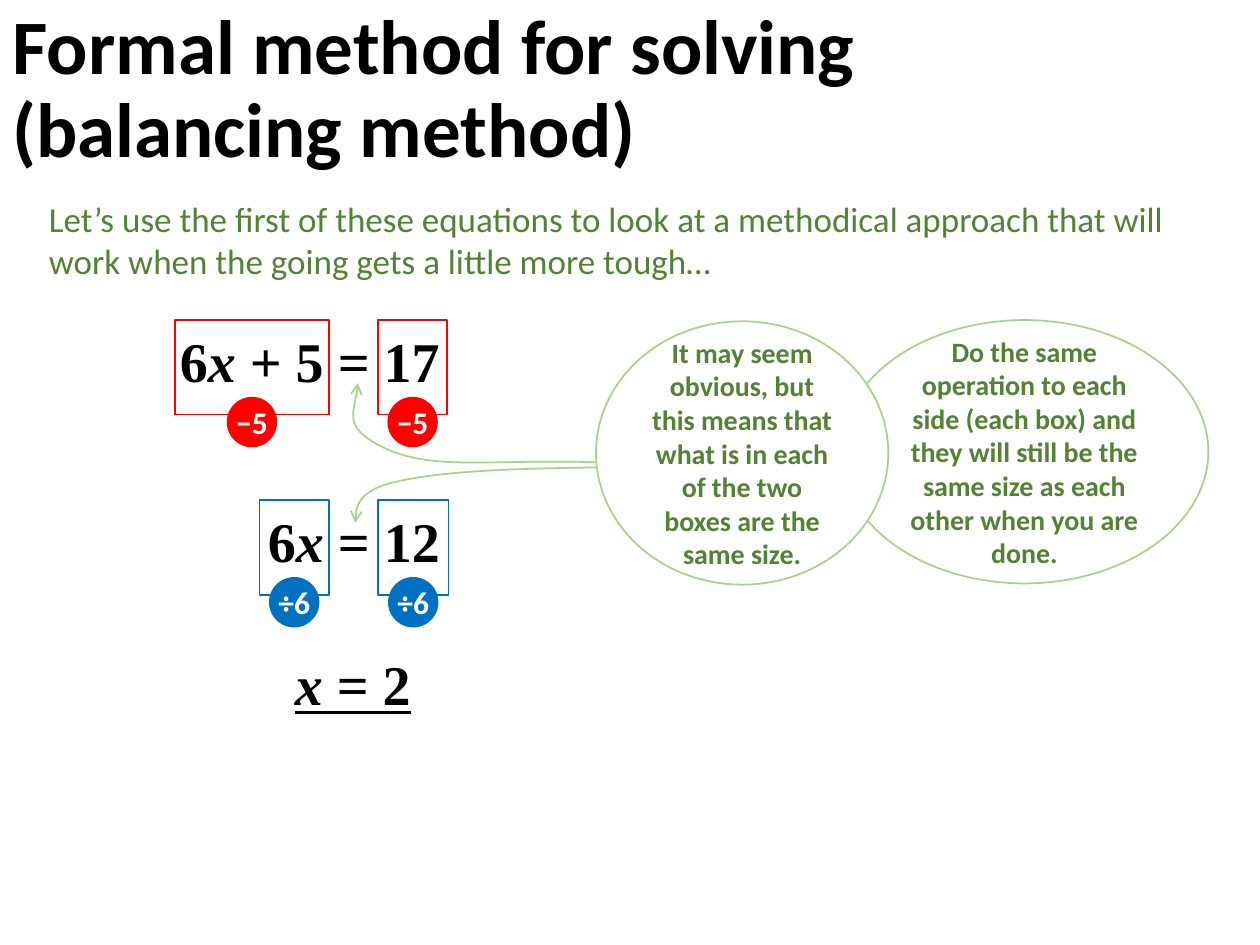
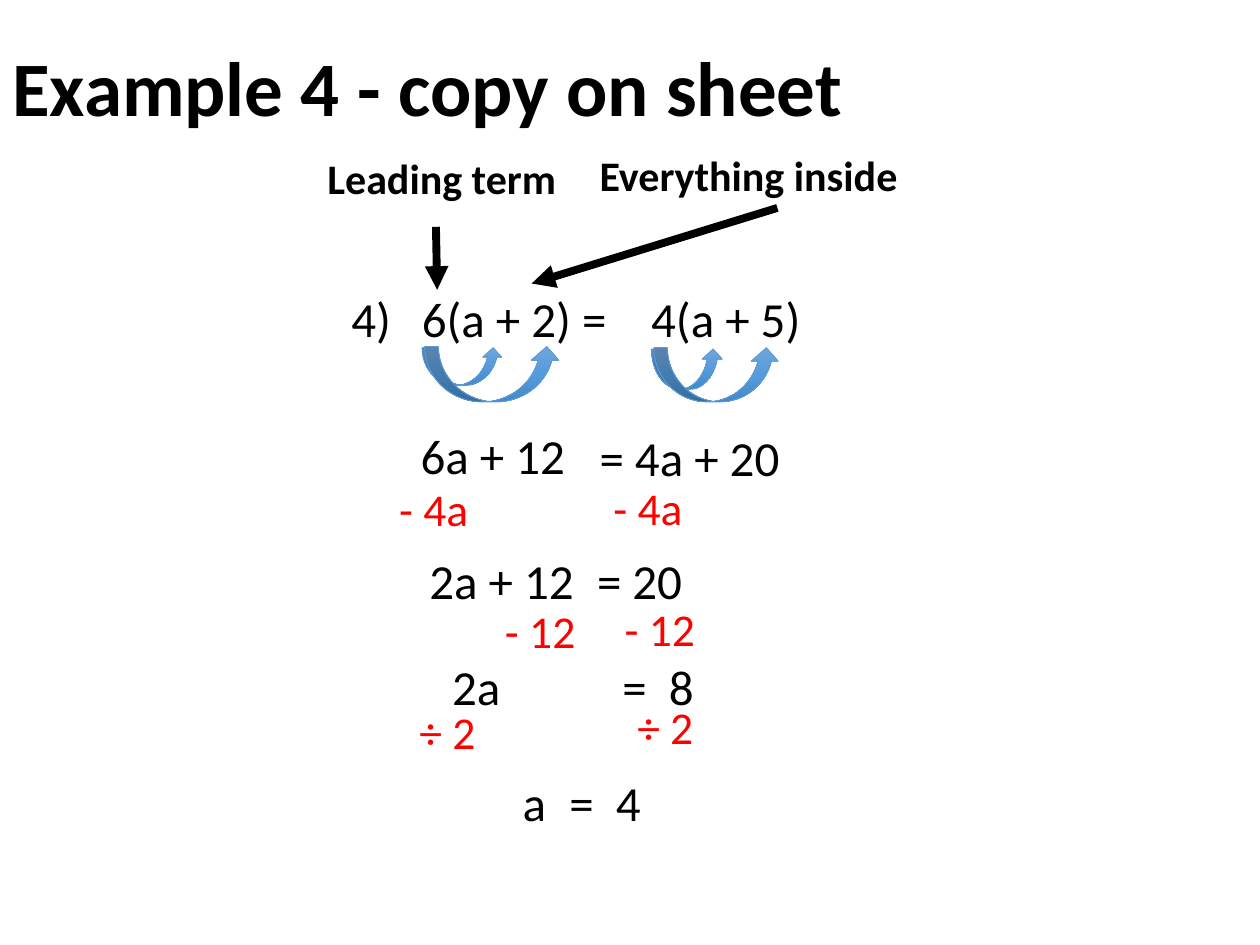
from copy import deepcopy

from pptx import Presentation, util as u
from pptx.dml.color import RGBColor
from pptx.enum import shapes, text
from pptx.oxml.ns import qn
from pptx.oxml.xmlchemy import OxmlElement

# Shared style
BLACK = RGBColor(0x00, 0x00, 0x00)
WHITE = RGBColor(0xFF, 0xFF, 0xFF)
RED = RGBColor(0xFF, 0x00, 0x00)
BLUE = RGBColor(0x00, 0x70, 0xC0)
GREEN = RGBColor(0x54, 0x82, 0x35)
PALE_GREEN = RGBColor(0xA9, 0xD1, 0x8E)
ARC_LINE = RGBColor(0x5B, 0x9B, 0xD5)
ARC_STOPS = [RGBColor(0x71, 0xA6, 0xDB), RGBColor(0x55, 0x9B, 0xDB), RGBColor(0x44, 0x8A, 0xCA)]
SANS, SERIF = "Calibri", "Times New Roman"
LEFT, CENTRE = text.PP_ALIGN.LEFT, text.PP_ALIGN.CENTER
TOP, MIDDLE = text.MSO_ANCHOR.TOP, text.MSO_ANCHOR.MIDDLE
OVAL, BOX = shapes.MSO_SHAPE.OVAL, shapes.MSO_SHAPE.RECTANGLE
ARC = shapes.MSO_SHAPE.CURVED_UP_ARROW

COLS, ROWS = 100, 75          # slide grid
CELL = u.Inches(0.1)


def cells(*values):
    return [round(v * CELL) for v in values]


def add_xml(parent, tag, **attrs):
    el = OxmlElement(tag)
    for name, value in attrs.items():
        el.set(name, str(value))
    parent.append(el)
    return el


def write(tf, words, size=28, color=BLACK, font=SANS, bold=False, underline=False,
          align=LEFT, anchor=TOP, spacing=None, inset=None, tabs=(), number=None):
    """Fill a text frame; *stars* mark italics, tabs are in cells."""
    tf.word_wrap, tf.vertical_anchor = True, anchor
    if inset is not None:
        tf.margin_left = tf.margin_right = tf.margin_top = tf.margin_bottom = inset
    p = tf.paragraphs[0]
    p.alignment = align
    if spacing:
        p.line_spacing = spacing
    pPr = p._p.get_or_add_pPr()
    if number:
        hang, = cells(5.6)
        pPr.set("marL", str(hang))
        pPr.set("indent", str(-hang))
        add_xml(pPr, "a:buAutoNum", type="arabicParenR", startAt=number)
    if tabs:
        stops = add_xml(pPr, "a:tabLst")
        for pos in cells(*tabs):
            add_xml(stops, "a:tab", pos=pos, algn="l")
    for i, part in enumerate(words.split("*")):
        if part:
            r = p.add_run()
            r.text = part
            f = r.font
            f.size, f.name, f.bold, f.italic = u.Pt(size), font, bold, i % 2 == 1
            f.underline = underline
            f.color.rgb = color


class Deck:
    def __init__(self):
        self.prs = Presentation()
        self.prs.slide_width, self.prs.slide_height = cells(COLS, ROWS)
        self.s = None

    def slide(self, title):
        self.s = self.prs.slides.add_slide(self.prs.slide_layouts[6])
        self.text((0, 0, 86.2, 14.5), title, size=44, bold=True, anchor=MIDDLE, spacing=0.9)

    def text(self, at, words, **fmt):
        write(self.s.shapes.add_textbox(*cells(*at)).text_frame, words, **fmt)

    def style(self, sp, fill=None, line=None, width=1.0):
        sp.shadow.inherit = False
        if fill is None:
            sp.fill.background()
        else:
            sp.fill.solid()
            sp.fill.fore_color.rgb = fill
        if line is None:
            sp.line.fill.background()
        else:
            sp.line.color.rgb = line
            sp.line.width = u.Pt(width)

    def shape(self, kind, at, words="", fill=None, line=None, **fmt):
        sp = self.s.shapes.add_shape(kind, *cells(*at))
        self.style(sp, fill, line)
        if words:
            write(sp.text_frame, words, bold=True, align=CENTRE, anchor=MIDDLE, **fmt)
        return sp

    def curve(self, start, *beziers, steps=16):
        """Open curve through cubic segments, with an arrowhead at its start."""
        points, p0 = [], start
        for c1, c2, end in beziers:
            for k in range(1, steps + 1):
                t = k / steps
                weights = ((1 - t) ** 3, 3 * t * (1 - t) ** 2, 3 * t * t * (1 - t), t ** 3)
                points.append(cells(*(sum(w * q[axis] for w, q in zip(weights, (p0, c1, c2, end)))
                                      for axis in (0, 1))))
            p0 = end
        builder = self.s.shapes.build_freeform(*cells(*start))
        builder.add_line_segments(points, close=False)
        sp = builder.convert_to_shape()
        self.style(sp, line=PALE_GREEN)
        add_xml(sp._element.spPr.get_or_add_ln(), "a:headEnd", type="arrow")

    def arrow(self, start, end):
        cx = self.s.shapes.add_connector(shapes.MSO_CONNECTOR.STRAIGHT, *cells(*start, *end))
        cx.line.color.rgb = BLACK
        cx.line.width = u.Pt(4.5)
        spPr = cx._element.spPr
        add_xml(spPr.get_or_add_ln(), "a:tailEnd", type="triangle")
        add_xml(spPr, "a:effectLst")

    def arc(self, at):
        sp = self.shape(ARC, at, line=ARC_LINE)
        sp.line.width = u.Pt(0.5)
        sp.fill.gradient()
        sp.fill.gradient_angle = 270
        gs_list = next(sp._element.iter(qn("a:gsLst")))
        gs_list.insert(1, deepcopy(gs_list[0]))
        for i, (stop, color) in enumerate(zip(sp.fill.gradient_stops, ARC_STOPS)):
            stop.position, stop.color.rgb = i / 2, color

    def equation(self, centre, top, words, **fmt):
        width = 28
        self.text((centre - width / 2, top, width, 6.4), words,
                  size=32, font=SERIF, bold=True, align=CENTRE, **fmt)

    def balance(self, top, sides, operation, color):
        """Frame both sides of an equation and hang the operation below each."""
        for left, width in sides:
            self.shape(BOX, (left, top, width, 7.5), line=color)
        for left, width in sides:
            self.shape(OVAL, (left + width / 2 - 2, top + 6.1, 4, 4), operation,
                       fill=color, size=18, color=WHITE, inset=0)


def balancing_slide(d):
    d.slide("Formal method for solving (balancing method)")
    bubble = dict(fill=WHITE, line=PALE_GREEN, size=16, color=GREEN)
    d.shape(OVAL, (66.7, 25.4, 29.2, 20.9), "Do the same operation to each side (each box) and they "
            "will still be the same size as each other when you are done.", **bubble)
    d.text((2.9, 15.2, 92.2, 7.7), "Let’s use the first of these equations to look at a methodical "
           "approach that will work when the going gets a little more tough…", size=20, color=GREEN)

    # Equations with the operation on each side
    d.equation(24.6, 25.4, "6*x* + 5 = 17")
    d.balance(25.4, [(13.9, 12.2), (30, 5.5)], "−5", RED)
    d.equation(28.1, 39.7, "6*x* = 12")
    d.balance(39.7, [(20.6, 5.5), (30, 5.6)], "÷6", BLUE)
    d.equation(28, 51.1, "*x* = 2", underline=True)

    # Pointers from the bubble to the equals signs
    d.curve((28.4, 30.4), ((28.3, 32.7), (26.8, 33.8), (30.6, 35.6)),
            ((34.5, 37.4), (39.2, 36.4), (47.7, 36.7)))
    d.curve((28.2, 41.5), ((28.2, 40.3), (28.3, 38.9), (31.6, 38.2)),
            ((34.8, 37.5), (39.2, 37.2), (47.7, 37.1)))
    d.shape(OVAL, (47.3, 25.5, 23.2, 20.9), "It may seem obvious, but this means that what is in "
            "each of the two boxes are the same size.", **bubble)


def example_slide(d):
    d.slide("Example 4 - copy on sheet")

    # Question
    d.text((26.9, 22.9, 24, 6), "6(a + 2) =", number=4, spacing=0.9)
    d.text((50.7, 22.9, 16, 6), "4(a + 5)", spacing=0.9)

    # Operations on both sides
    for words, left, right in (("- 4a", (30.7, 37.7), (47.7, 37.6)),
                               ("- 12", (39.1, 47.4), (48.6, 47.2)),
                               ("÷ 2", (32.3, 55.4), (49.6, 55))):
        for corner in (left, right):
            d.text((*corner, 10, 5.4), words, size=26, color=RED)

    # Expansion arcs
    for at in ((33.5, 27.6, 6.4, 3), (33.7, 27.5, 10.8, 4.4),
               (51.7, 27.7, 5.7, 3.2), (51.9, 27.6, 10, 4.3)):
        d.arc(at)

    # Working lines
    for left, top, words, tabs in ((32.4, 33.3, "6a + 12", ()),
                                   (46.6, 33.4, "= 4a + 20", ()),
                                   (33.1, 43.2, "2a + 12\t= 20", (13.3,)),
                                   (34.9, 51.6, "2a\t=\t8", (13.5, 17.2)),
                                   (40.5, 60.8, "a\t=\t4", (3.7, 7.4))):
        d.text((left, top, 24.5, 5.7), words, tabs=tabs)

    # Labels and their arrows
    for left, top, words, start, end in (
            (25, 11.6, "Leading term", (34.6, 18), (34.7, 23)),
            (46.6, 11.4, "Everything inside", (61.7, 16.5), (42.2, 22.5))):
        d.text((left, top, 30.2, 5), words, size=24, bold=True)
        d.arrow(start, end)


def main():
    d = Deck()
    balancing_slide(d)
    example_slide(d)
    d.prs.save("out.pptx")


if __name__ == "__main__":
    main()
